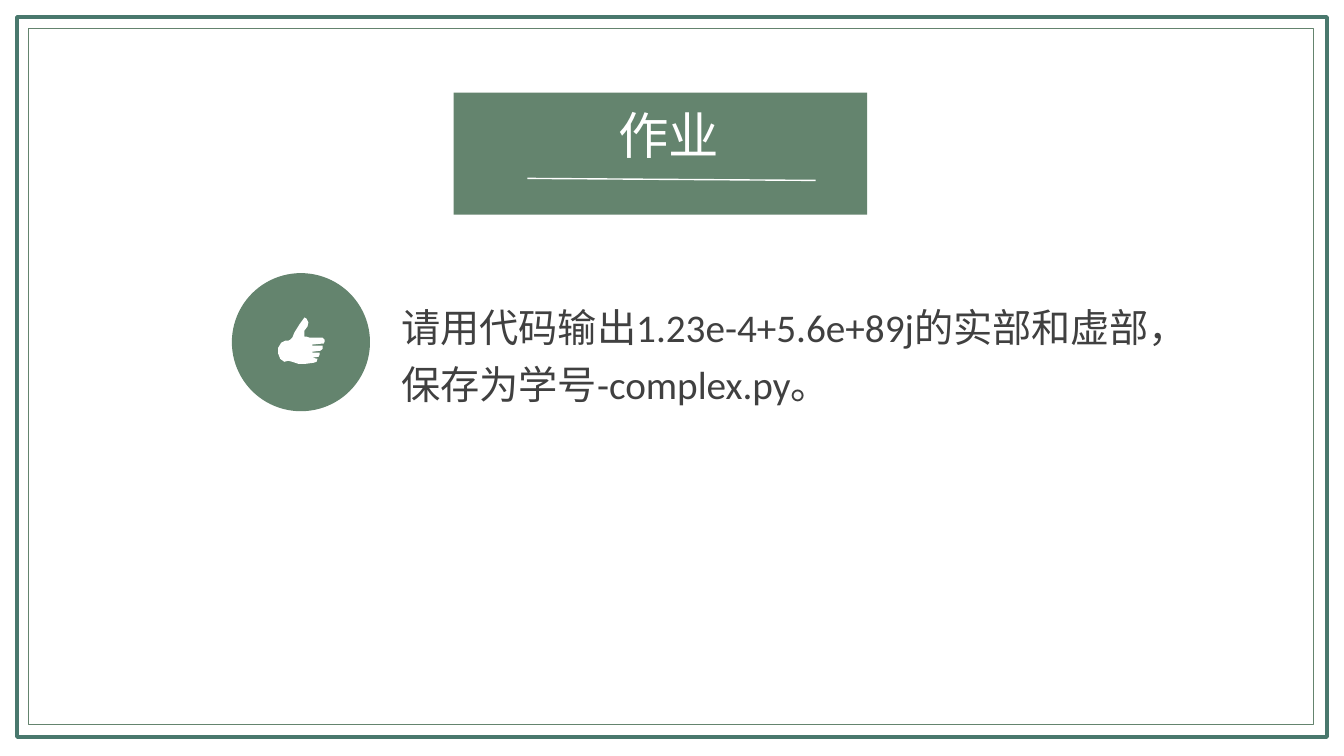
from dataclasses import dataclass

from lxml.etree import SubElement
from pptx import Presentation
from pptx.dml.color import RGBColor
from pptx.enum.shapes import MSO_CONNECTOR, MSO_SHAPE
from pptx.enum.text import MSO_ANCHOR, MSO_AUTO_SIZE, PP_ALIGN
from pptx.oxml.ns import qn
from pptx.util import Inches, Pt


@dataclass(frozen=True)
class Theme:
    green = RGBColor(0x64, 0x84, 0x6E)
    frame_green = RGBColor(0x49, 0x78, 0x6D)
    white = RGBColor(0xFF, 0xFF, 0xFF)
    text = RGBColor(0x40, 0x40, 0x40)
    title_font = "Noto Sans CJK SC"
    body_font = "Calibri"
    title_size = Pt(36)
    body_size = Pt(28)


theme = Theme()


def paint(shape, fill=None, line=None, width=0):
    """Give a shape a solid fill, an outline, or neither, and no shadow."""
    shape.shadow.inherit = False
    if fill is None:
        shape.fill.background()
    else:
        shape.fill.solid()
        shape.fill.fore_color.rgb = fill
    if line is None:
        shape.line.fill.background()
    else:
        shape.line.color.rgb = line
        shape.line.width = Pt(width)


def write(placeholder, box, text, font_name, size, color, margins):
    """Place a placeholder and write its single paragraph, which is returned."""
    placeholder.left, placeholder.top, placeholder.width, placeholder.height = map(Inches, box)
    frame = placeholder.text_frame
    frame.word_wrap = True
    frame.auto_size = MSO_AUTO_SIZE.NONE
    frame.vertical_anchor = MSO_ANCHOR.TOP
    frame.margin_left = frame.margin_right = Inches(margins[0])
    frame.margin_top = frame.margin_bottom = Inches(margins[1])
    paragraph = frame.paragraphs[0]
    paragraph.space_before = Pt(0)
    run = paragraph.add_run()
    run.text = text
    run.font.name = font_name
    run.font.size = size
    run.font.color.rgb = color
    SubElement(run.font._element, qn("a:ea"), typeface=font_name)
    return paragraph


prs = Presentation()
prs.slide_width, prs.slide_height = Inches(13.33), Inches(7.5)
slide = prs.slides.add_slide(prs.slide_layouts[1])
shapes = slide.shapes
title, task = shapes.title, slide.placeholders[1]

# Double frame
for inset, size, color, weight in [
    (0.17, (12.99, 7.14), theme.frame_green, 3),
    (0.28, (12.75, 6.91), theme.green, 0.5),
]:
    border = shapes.add_shape(
        MSO_SHAPE.RECTANGLE, Inches(inset), Inches(inset), *map(Inches, size))
    paint(border, line=color, width=weight)

# Thumbs-up badge
badge = shapes.add_shape(
    MSO_SHAPE.OVAL, Inches(2.3), Inches(2.71), Inches(1.37), Inches(1.37))
paint(badge, fill=theme.green)

# Outline in hundredths of an inch, clockwise from the lowest finger gap
thumb_outline = [
    (310, 350), (310, 349), (318, 348), (320, 346), (320, 343),
    (310, 343), (309, 342), (319, 341), (321, 341), (322, 339),
    (322, 337), (320, 335.3), (316, 334.8), (308, 335), (307, 335),
    (304, 334.2), (302, 334), (301.5, 331), (302.5, 328), (305, 324),
    (305.5, 320), (304.5, 316.5), (302, 315), (297, 322), (292.5, 330),
    (290, 335), (288.5, 337), (286, 337.8), (283, 338), (279, 340),
    (276.5, 345), (276, 351), (278, 356.5), (282, 359), (286, 358.2),
    (290, 359), (296, 360.6), (303, 361), (311, 360), (314, 358.8),
    (315, 356), (310, 355), (309, 355), (316, 354), (317.3, 352), (317, 350),
]
pen = shapes.build_freeform(*thumb_outline[0], scale=Inches(0.01))
pen.add_line_segments(thumb_outline[1:], close=True)
paint(pen.convert_to_shape(), fill=theme.white)

# Task
task_paragraph = write(
    task, (3.98, 2.92, 7.51, 1.09),
    "请用代码输出1.23e-4+5.6e+89j的实部和虚部，保存为学号-complex.py。",
    theme.body_font, theme.body_size, theme.text, margins=(0, 0))
task_paragraph.line_spacing = 1.2
task_properties = task_paragraph._p.get_or_add_pPr()
task_properties.set("marL", "0")
task_properties.set("indent", "0")
SubElement(task_properties, qn("a:buNone"))

# Title banner
banner = shapes.add_shape(
    MSO_SHAPE.RECTANGLE, Inches(4.5), Inches(0.92), Inches(4.1), Inches(1.21))
paint(banner, fill=theme.green)
title_paragraph = write(
    title, (5.01, 0.98, 3.24, 0.71), "作业",
    theme.title_font, theme.title_size, theme.white, margins=(0.1, 0.05))
title_paragraph.alignment = PP_ALIGN.CENTER
shapes._spTree.append(title._element)  # bring the title in front of its banner

underline = shapes.add_connector(
    MSO_CONNECTOR.STRAIGHT, Inches(5.23), Inches(1.77), Inches(8.09), Inches(1.79))
underline.line.color.rgb = theme.white
underline.line.width = Pt(1)
SubElement(underline._element.spPr, qn("a:effectLst"))

prs.save("out.pptx")
